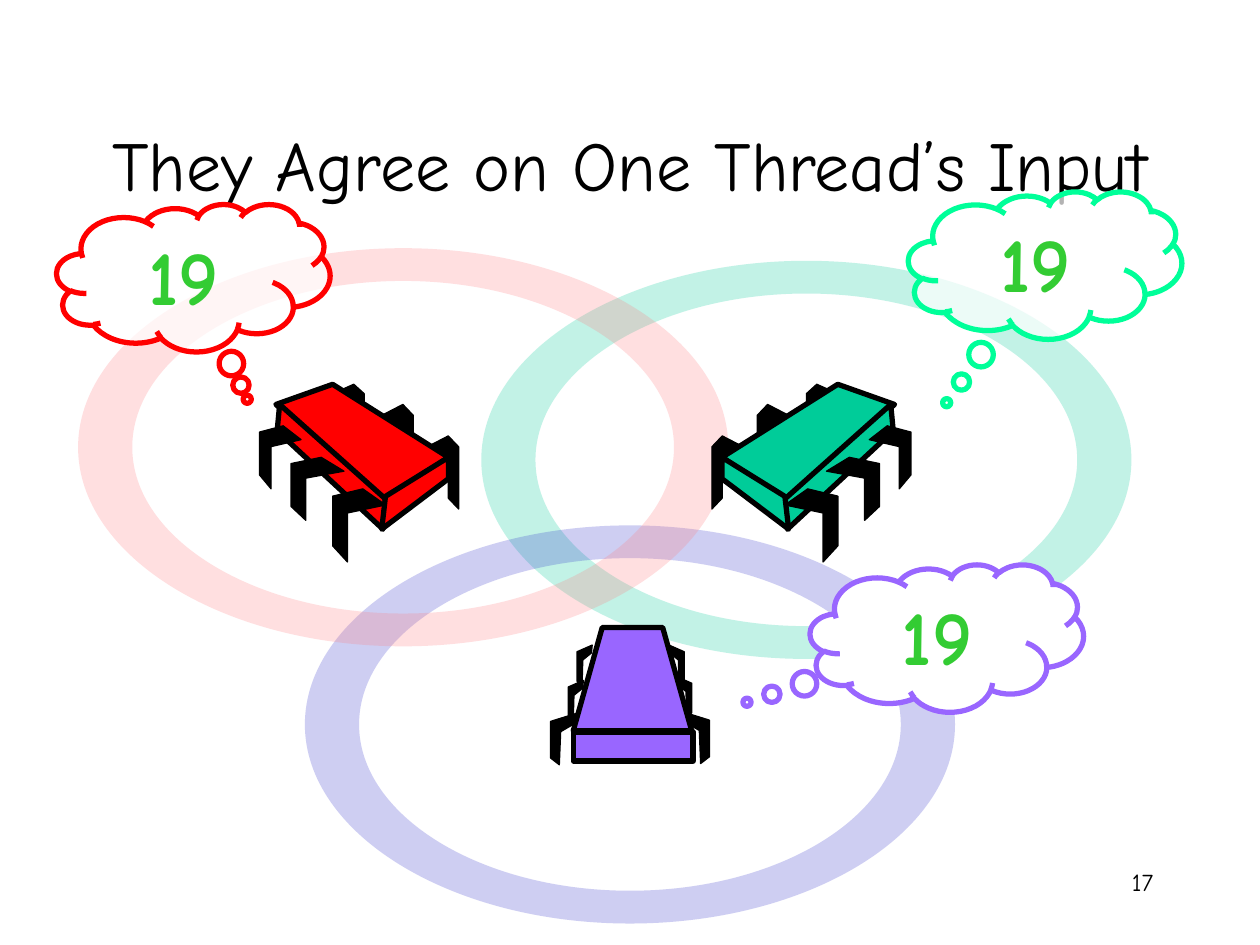
from lxml import etree
from pptx import Presentation
from pptx import util as u
from pptx.dml.color import RGBColor
from pptx.enum import shapes, text
from pptx.oxml import ns

BLACK = RGBColor(0, 0, 0)
WHITE = RGBColor(0xFF, 0xFF, 0xFF)
RED = RGBColor(0xFF, 0, 0)
TEAL = RGBColor(0, 0xCC, 0x99)
MINT = RGBColor(0, 0xFF, 0x99)
PURPLE = RGBColor(0x99, 0x66, 0xFF)
PINK = RGBColor(0xFF, 0x7C, 0x80)
BLUE = RGBColor(0x33, 0x33, 0xCC)
GREEN = RGBColor(0x33, 0xCC, 0x33)

ARC_PULL = .55
REAR_LEG = [(0, .15), (.67, 0), (1, .15), (1, 1), (.67, .85), (.67, .28), (0, .43)]
FRONT_LEG = [(.57, 0), (1, .22), (.28, .33), (.28, 1), (0, .78), (0, .1)]
SIDE_LEG = [(0, 0), (1, .16), (1, .87), (.67, 1), (.62, .36), (.05, .19)]

REAR_LEGS = [(3.39, 3.46, .25, .58), (3.03, 3.21, .25, .58), (2.64, 3.05, .25, .5)]
FRONT_LEGS = [(2.64, 3.88, .42, .58), (2.31, 3.63, .42, .5), (2.06, 3.38, .33, .5)]
CHIP_FACES = [
    [(2.64, 3.05), (3.56, 3.63), (3.04, 3.97), (2.19, 3.21)],
    [(2.22, 3.21), (3.06, 3.96), (3.04, 4.2), (2.2, 3.42)],
    [(3.56, 3.63), (3.56, 3.8), (3.03, 4.2), (3.06, 3.94)],
]


def write(shape, content, size, color=BLACK, bold=False,
          align=text.PP_ALIGN.CENTER, anchor=text.MSO_ANCHOR.MIDDLE):
    frame = shape.text_frame
    frame.word_wrap = True
    frame.vertical_anchor = anchor
    paragraph = frame.paragraphs[0]
    paragraph.alignment = align
    run = paragraph.add_run()
    run.text = content
    run.font.name = "Comic Neue"
    run.font.size = u.Pt(size)
    run.font.bold = bold
    run.font.color.rgb = color


def place(outline, left, top, width, height):
    return [(left + x * width, top + y * height) for x, y in outline]


def mirror(points, axis_sum):
    return [(axis_sum - x, y) for x, y in points]


def diamond(cx, cy, rx, ry):
    left = (cx - rx, cy)
    return [left, (cx, cy - ry), (cx + rx, cy), (cx, cy + ry), left]


def round_off(shape):
    quarter = 0
    for step in list(shape._element.iter(ns.qn("a:moveTo"), ns.qn("a:lnTo"))):
        x, y = int(step[0].get("x")), int(step[0].get("y"))
        if step.tag == ns.qn("a:moveTo"):
            quarter = 0
        else:
            dx, dy = (x - from_x) * ARC_PULL, (y - from_y) * ARC_PULL
            if quarter % 2 == 0:
                controls = [(from_x, from_y + dy), (x - dx, y)]
            else:
                controls = [(from_x + dx, from_y), (x, y - dy)]
            curve = etree.Element(ns.qn("a:cubicBezTo"))
            for px, py in controls + [(x, y)]:
                etree.SubElement(curve, ns.qn("a:pt"), x=str(round(px)), y=str(round(py)))
            step.getparent().replace(step, curve)
            quarter += 1
        from_x, from_y = x, y


class Sketch:
    def __init__(self, slide):
        self.slide = slide
        self.canvas = slide.shapes

    def start_group(self):
        self.canvas = self.slide.shapes.add_group_shape().shapes

    def end_group(self):
        self.canvas = self.slide.shapes

    def style(self, shape, fill, line=None, weight=3, opacity=None):
        shape.shadow.inherit = False
        shape.fill.solid()
        shape.fill.fore_color.rgb = fill
        if opacity is not None:
            tint = shape.fill._xPr.find(ns.qn("a:solidFill"))[0]
            etree.SubElement(tint, ns.qn("a:alpha"), val=str(opacity * 1000))
        if line is None:
            shape.line.fill.background()
        else:
            shape.line.color.rgb = line
            shape.line.width = u.Pt(weight)

    def label(self, content, left, top, width, height, **form):
        box = self.canvas.add_textbox(*map(u.Inches, (left, top, width, height)))
        write(box, content, **form)

    def outline(self, *contours, **look):
        scaled = [[(u.Inches(x), u.Inches(y)) for x, y in c] for c in contours]
        pen = self.canvas.build_freeform(*scaled[0][0], scale=1.0)
        pen.add_line_segments(scaled[0][1:], close=True)
        for contour in scaled[1:]:
            pen.move_to(*contour[0])
            pen.add_line_segments(contour[1:], close=True)
        shape = pen.convert_to_shape()
        self.style(shape, **look)
        return shape

    def leg(self, points):
        self.outline(points, fill=BLACK, line=BLACK, weight=.75)

    def ring(self, cx, cy, color):
        band = self.outline(diamond(cx, cy, 2.58, 1.58), diamond(cx, cy, 2.15, 1.32)[::-1],
                            fill=color, opacity=24)
        round_off(band)

    def bar(self, left, top, width, height, fill):
        box = self.canvas.add_shape(shapes.MSO_SHAPE.RECTANGLE,
                                    *map(u.Inches, (left, top, width, height)))
        self.style(box, fill, BLACK)

    def thought(self, left, top, tail, color, opacity=None):
        cloud = self.canvas.add_shape(shapes.MSO_SHAPE.CLOUD_CALLOUT,
                                      *map(u.Inches, (left, top, 2.17, 1.17)))
        cloud.adjustments[0], cloud.adjustments[1] = tail
        self.style(cloud, WHITE, color, opacity=opacity)
        write(cloud, "19", 44, GREEN, bold=True)

    def side_chip(self, color, turn):
        self.start_group()
        for spot in REAR_LEGS:
            self.leg(turn(place(REAR_LEG, *spot)))
        for face in CHIP_FACES:
            self.outline(turn(face), fill=color, line=BLACK)
        for spot in FRONT_LEGS:
            self.leg(turn(place(FRONT_LEG, *spot)))
        self.end_group()

    def front_chip(self, color):
        self.start_group()
        for spot in [(5.42, 5.65, .21, .41), (5.37, 5.37, .12, .33)]:
            self.leg(place(SIDE_LEG, *spot))
        for spot in [(5.42, 5.66, .21, .41), (5.37, 5.4, .12, .33)]:
            self.leg(mirror(place(SIDE_LEG, *spot), 10))
        self.outline([(4.55, 5.8), (4.78, 4.98), (5.26, 4.98), (5.49, 5.8)],
                     fill=color, line=BLACK)
        self.bar(4.55, 5.81, .95, .23, color)
        far_leg = place(SIDE_LEG, 5.31, 5.12, .12, .33)
        self.leg(far_leg)
        self.leg(mirror(far_leg, 10.01))
        self.end_group()


def main():
    deck = Presentation()
    deck.slide_width, deck.slide_height = u.Inches(10), u.Inches(7.5)
    sketch = Sketch(deck.slides.add_slide(deck.slide_layouts[6]))

    sketch.label("17", 7.17, 6.83, 2.08, .5, size=14,
                 align=text.PP_ALIGN.RIGHT, anchor=text.MSO_ANCHOR.TOP)
    sketch.ring(6.4, 3.65, TEAL)
    sketch.ring(5, 5.75, BLUE)
    sketch.label("They Agree on One Thread’s Input", .75, .67, 8.5, 1.25, size=40)
    sketch.ring(3.2, 3.55, PINK)
    sketch.front_chip(PURPLE)
    sketch.thought(.45, 1.62, (.197, .824), RED, opacity=70)
    sketch.thought(7.21, 1.52, (-.36, .933), MINT, opacity=70)
    sketch.side_chip(RED, turn=list)
    sketch.side_chip(TEAL, turn=lambda points: mirror(points, 9.29))
    sketch.thought(6.43, 4.48, (-.731, .435), PURPLE)
    deck.save("out.pptx")


if __name__ == "__main__":
    main()
